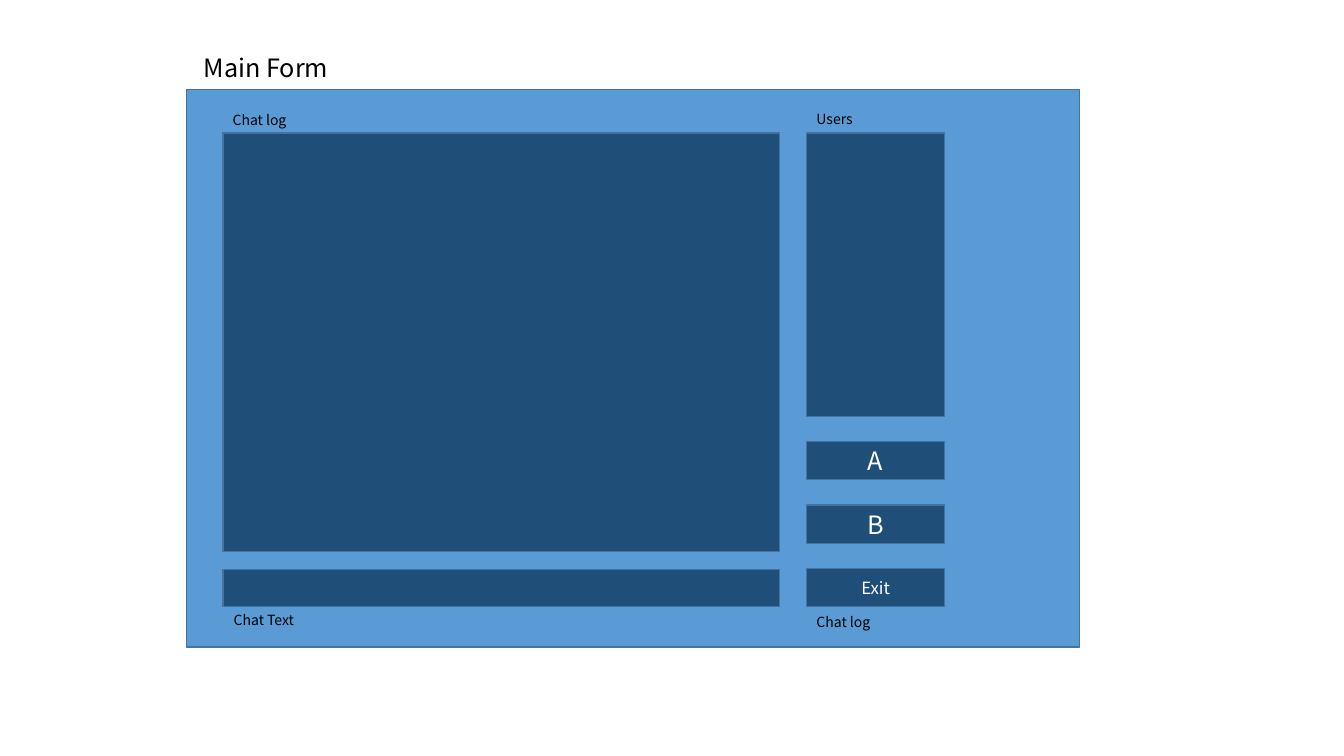
from dataclasses import dataclass

from pptx import Presentation
from pptx.dml.color import RGBColor
from pptx.enum.shapes import MSO_SHAPE
from pptx.enum.text import MSO_ANCHOR, MSO_AUTO_SIZE, PP_ALIGN
from pptx.util import Inches, Pt


@dataclass(frozen=True)
class Theme:
    font: str = "Noto Sans CJK KR"
    form: RGBColor = RGBColor(0x5B, 0x9B, 0xD5)
    field: RGBColor = RGBColor(0x1F, 0x4E, 0x79)
    outline: RGBColor = RGBColor(0x43, 0x73, 0x9E)
    dark_text: RGBColor = RGBColor(0, 0, 0)
    light_text: RGBColor = RGBColor(0xFF, 0xFF, 0xFF)
    large: int = 18
    medium: int = 12
    small: int = 10


THEME = Theme()
LABEL_WIDTH, LABEL_HEIGHT = 1.6, 0.27


def write_text(shape, text, size=THEME.small, color=THEME.dark_text,
               align=PP_ALIGN.LEFT, anchor=MSO_ANCHOR.TOP,
               auto_size=MSO_AUTO_SIZE.SHAPE_TO_FIT_TEXT):
    frame = shape.text_frame
    frame.text = text
    frame.word_wrap = True
    frame.auto_size = auto_size
    frame.vertical_anchor = anchor
    paragraph = frame.paragraphs[0]
    paragraph.alignment = align
    font = paragraph.runs[0].font
    font.name = THEME.font
    font.size = Pt(size)
    font.color.rgb = color


def add_panel(slide, left, top, width, height, fill=THEME.field):
    shape = slide.shapes.add_shape(
        MSO_SHAPE.RECTANGLE, Inches(left), Inches(top), Inches(width), Inches(height))
    shape.shadow.inherit = False
    shape.fill.solid()
    shape.fill.fore_color.rgb = fill
    shape.line.color.rgb = THEME.outline
    shape.line.width = Pt(1)
    return shape


def add_label(slide, text, left, top):
    label = slide.shapes.add_textbox(
        Inches(left), Inches(top), Inches(LABEL_WIDTH), Inches(LABEL_HEIGHT))
    write_text(label, text)


def place_title(slide, text, left, top, width, height):
    title = slide.shapes.title
    title.left, title.top = Inches(left), Inches(top)
    title.width, title.height = Inches(width), Inches(height)
    write_text(title, text, size=THEME.large)


def build_chat_area(slide, left, top, width, height):
    """Chat log above the one-line chat input."""
    input_height = 0.37
    input_gap = 0.18
    log_height = height - input_height - input_gap
    add_panel(slide, left, top, width, log_height)
    add_panel(slide, left, top + height - input_height, width, input_height)
    add_label(slide, "Chat log", left, top - 0.26)
    add_label(slide, "Chat Text", left + 0.01, top + height)


def build_side_bar(slide, left, top, width, height):
    """User list above a stack of buttons that ends at the bottom edge."""
    button_height, button_pitch = 0.38, 0.63
    buttons = [("A", THEME.large), ("B", THEME.large), ("Exit", THEME.medium)]
    add_panel(slide, left, top, width, 2.81)
    first_top = top + height - button_height - button_pitch * (len(buttons) - 1)
    for index, (text, size) in enumerate(buttons):
        button = add_panel(
            slide, left, first_top + index * button_pitch, width, button_height)
        write_text(button, text, size=size, color=THEME.light_text,
                   align=PP_ALIGN.CENTER, anchor=MSO_ANCHOR.MIDDLE,
                   auto_size=MSO_AUTO_SIZE.NONE)
    add_label(slide, "Users", left, top - 0.27)
    add_label(slide, "Chat log", left, top + height + 0.02)


def build_main_form(slide, left, top, width, height):
    # Window and its caption
    add_panel(slide, left, top, width, height, fill=THEME.form)
    place_title(slide, "Main Form", left + 0.07, top - 0.42, 1.79, 0.4)
    # Two columns sharing one top and bottom edge
    column_top, column_height = top + 0.43, 4.7
    build_chat_area(slide, left + 0.36, column_top, 5.52, column_height)
    build_side_bar(slide, left + 6.15, column_top, 1.37, column_height)


def main():
    presentation = Presentation()
    presentation.slide_width = Inches(13.33)
    presentation.slide_height = Inches(7.5)
    title_only = presentation.slide_layouts.get_by_name("Title Only")
    slide = presentation.slides.add_slide(title_only)
    build_main_form(slide, 1.85, 0.89, 8.86, 5.53)
    presentation.save("out.pptx")


if __name__ == "__main__":
    main()
